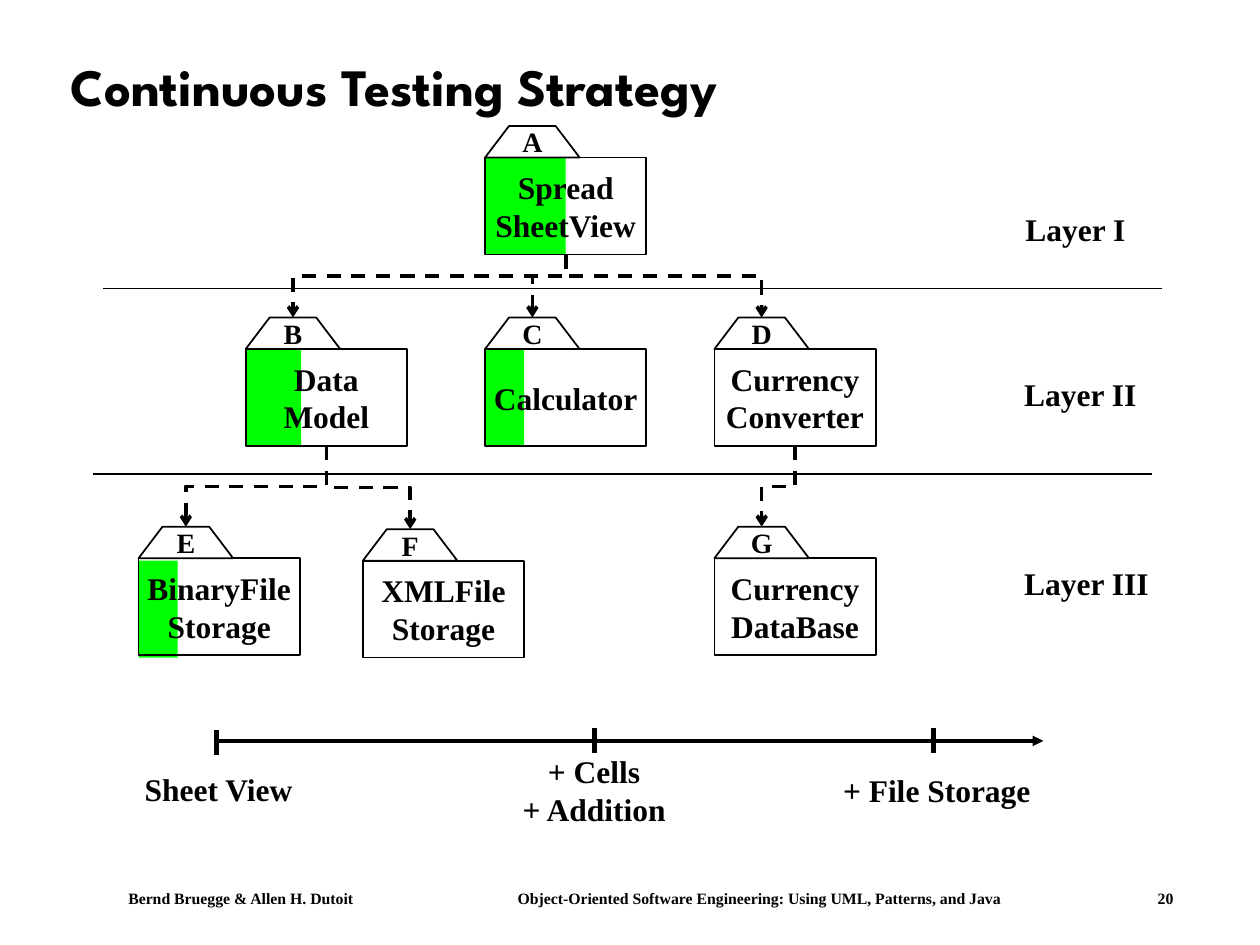
from pptx import Presentation
from pptx.dml.color import RGBColor
from pptx.enum.dml import MSO_LINE
from pptx.enum.shapes import MSO_CONNECTOR, MSO_SHAPE
from pptx.enum.text import MSO_ANCHOR, PP_ALIGN
from pptx.oxml.ns import qn
from pptx.util import Inches, Pt
from lxml import etree

RECTANGLE = MSO_SHAPE.RECTANGLE
STRAIGHT, ELBOW = MSO_CONNECTOR.STRAIGHT, MSO_CONNECTOR.ELBOW
LEFT, CENTER = PP_ALIGN.LEFT, PP_ALIGN.CENTER
MIDDLE, DASH = MSO_ANCHOR.MIDDLE, MSO_LINE.DASH
BLACK, WHITE, GREEN = (
    RGBColor.from_string(value) for value in ("000000", "FFFFFF", "00FF00"))
SERIF = "Times New Roman"

BOX_WIDTH, BOX_HEIGHT = 1.28, 0.77
TAB_WIDTH, TAB_HEIGHT, TAB_SLANT = 0.75, 0.25, 0.19

deck = Presentation()
deck.slide_width, deck.slide_height = Inches(10), Inches(7.5)
page = deck.slides.add_slide(deck.slide_layouts[6])
shapes = page.shapes


def write(shape, text, size, align=CENTER, font=SERIF):
    frame = shape.text_frame
    frame.word_wrap = False
    frame.vertical_anchor = MIDDLE
    frame.text = text
    for para in frame.paragraphs:
        para.alignment = align
        for span in para.runs:
            span.font.size = Pt(size)
            span.font.name = font
            span.font.bold = True
            span.font.color.rgb = BLACK
    return frame


def add_line(kind, start, end, width, arrow=None, dash=None):
    line = shapes.add_connector(kind, *map(Inches, start + end))
    line.line.color.rgb = BLACK
    line.line.width = Pt(width)
    if dash:
        line.line.dash_style = dash
    properties = line.element.spPr
    if arrow:
        etree.SubElement(properties.get_or_add_ln(), qn("a:tailEnd"), type=arrow)
    etree.SubElement(properties, qn("a:effectLst"))
    return line


# Title and footer
title = shapes.add_textbox(Inches(0.46), Inches(0.24), Inches(8.92), Inches(0.94))
frame = write(title, "Continuous Testing Strategy", 30, LEFT, "League Spartan")
frame.word_wrap = True
frame.paragraphs[0].line_spacing = 0.9

footer = shapes.add_textbox(Inches(0.58), Inches(7), Inches(9.17), Inches(0.25))
frame = write(
    footer,
    "\tBernd Bruegge & Allen H. Dutoit"
    "\tObject-Oriented Software Engineering: Using UML, Patterns, and Java\t20",
    9, LEFT)
frame.word_wrap = True
tab_list = etree.SubElement(
    frame.paragraphs[0]._p.get_or_add_pPr(), qn("a:tabLst"))
for position in (0.34, 3.43, 8.51):
    etree.SubElement(tab_list, qn("a:tab"), pos=str(Inches(position)), algn="l")

# Layers
for left, y in ((0.82, 2.29), (0.74, 3.76)):
    add_line(STRAIGHT, (left, y), (left + 8.4, y), 1)
for text, left, top, width in (
    ("Layer I", 8.04, 1.62, 1), ("Layer II", 8.03, 2.93, 1.09),
    ("Layer III", 8.03, 4.43, 1.19),
):
    label = shapes.add_textbox(
        Inches(left), Inches(top), Inches(width), Inches(0.4))
    write(label, text, 18, LEFT)

# Packages: left and top of the box, name, widths of the tested strips, strip top
packages = {
    "A": (3.85, 1.25, "Spread\vSheetView", (0.31, 0.18, 0.15), 1.25),
    "B": (1.95, 2.77, "Data\vModel", (0.13, 0.31), 2.77),
    "C": (3.85, 2.77, "Calculator", (0.31,), 2.77),
    "D": (5.67, 2.77, "Currency\nConverter", (), 2.77),
    "E": (1.1, 4.43, "BinaryFile\vStorage", (0.31,), 4.45),
    "F": (2.88, 4.45, "XMLFile\vStorage", (), 4.45),
    "G": (5.67, 4.43, "Currency\vDataBase", (), 4.43),
}
for letter, (left, top, name, strips, strip_top) in packages.items():
    strip_left = left
    for width in strips:
        strip = shapes.add_shape(
            RECTANGLE, Inches(strip_left), Inches(strip_top),
            Inches(width), Inches(BOX_HEIGHT))
        strip.shadow.inherit = False
        strip.fill.solid()
        strip.fill.fore_color.rgb = GREEN
        strip.line.fill.background()
        strip_left += width

    box = shapes.add_shape(
        RECTANGLE, Inches(left), Inches(top), Inches(BOX_WIDTH), Inches(BOX_HEIGHT))
    outline = shapes.build_freeform(Inches(left), Inches(top))
    outline.add_line_segments([
        (Inches(left + x), Inches(top - y)) for x, y in (
            (TAB_SLANT, TAB_HEIGHT), (TAB_WIDTH - TAB_SLANT, TAB_HEIGHT),
            (TAB_WIDTH, 0))
    ], close=True)
    tab = outline.convert_to_shape()
    for shape, text, size in ((box, name, 18), (tab, letter, 16)):
        shape.shadow.inherit = False
        if shape is box and strips:
            shape.fill.background()
        else:
            shape.fill.solid()
            shape.fill.fore_color.rgb = WHITE
        shape.line.color.rgb = BLACK
        shape.line.width = Pt(1)
        write(shape, text, size)

# Dependencies: elbows turned a quarter so that they leave downwards
for parent, child, bend in (
    ("A", "B", 0.34), ("A", "C", 0.34), ("A", "D", 0.34),
    ("D", "G", 0.5), ("B", "F", 0.5), ("B", "E", 0.5),
):
    start_x = packages[parent][0] + BOX_WIDTH / 2
    start_y = packages[parent][1] + BOX_HEIGHT
    end_x = packages[child][0] + TAB_WIDTH / 2
    end_y = packages[child][1] - TAB_HEIGHT
    center_x, center_y = (start_x + end_x) / 2, (start_y + end_y) / 2
    goes_right = end_x > start_x
    half_length = (end_y - start_y) / 2 * (-1 if goes_right else 1)
    half_span = abs(end_x - start_x) / 2
    elbow = add_line(
        ELBOW, (center_x - half_length, center_y - half_span),
        (center_x + half_length, center_y + half_span), 2, "arrow", DASH)
    properties = elbow.element.spPr
    quarter_turns = 3 if goes_right else 1
    properties.find(qn("a:xfrm")).set("rot", str(quarter_turns * 90 * 60000))
    adjustments = properties.find(qn("a:prstGeom")).get_or_add_avLst()
    etree.SubElement(
        adjustments, qn("a:gd"), name="adj1", fmla=f"val {round(bend * 100000)}")

# Timeline
add_line(STRAIGHT, (1.71, 5.88), (8.28, 5.88), 2, "triangle")
for x, top in ((1.72, 5.79), (4.72, 5.78), (7.41, 5.78)):
    add_line(STRAIGHT, (x, top), (x, top + 0.2), 2.5)
for text, left, top, width, height in (
    ("Sheet View", 1.04, 6.06, 1.39, 0.4),
    ("+ Cells\n+ Addition", 4.04, 5.92, 1.35, 0.7),
    ("+ File Storage", 6.59, 6.07, 1.69, 0.4),
):
    milestone = shapes.add_textbox(
        Inches(left), Inches(top), Inches(width), Inches(height))
    write(milestone, text, 18)

deck.save("out.pptx")
